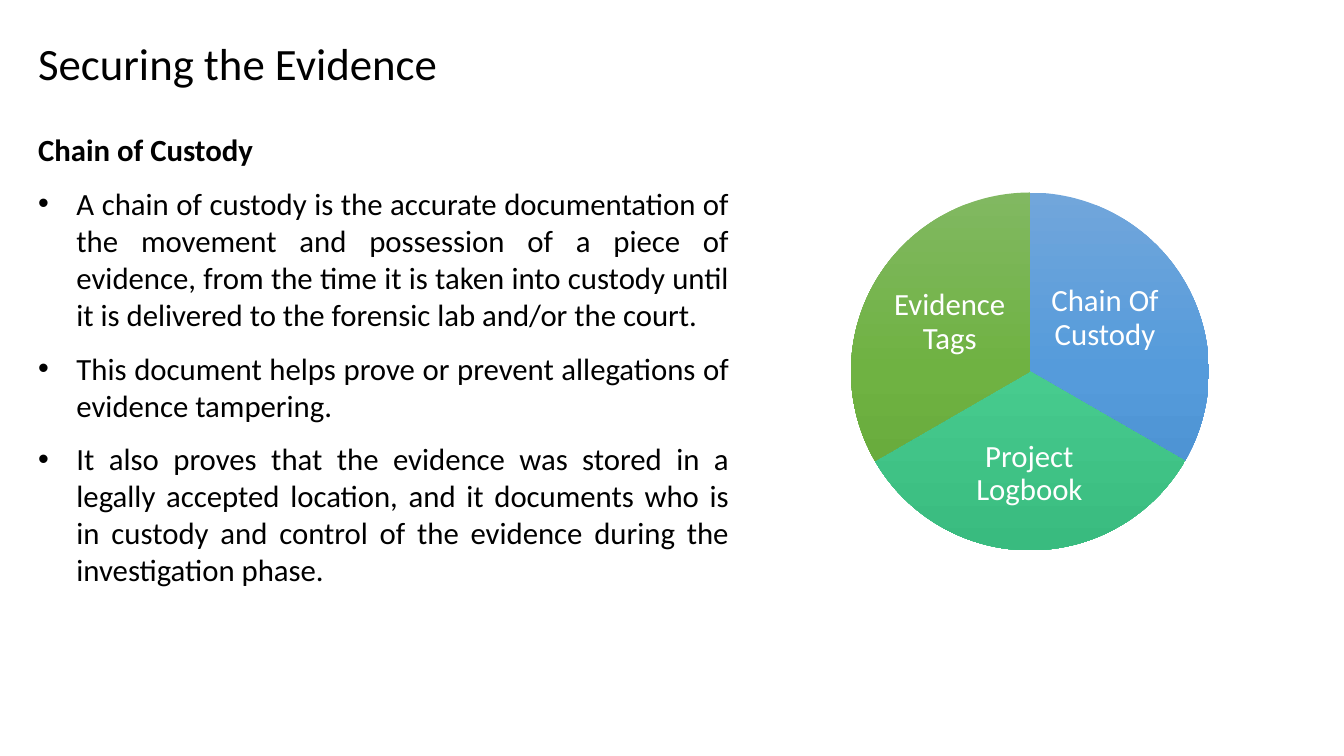
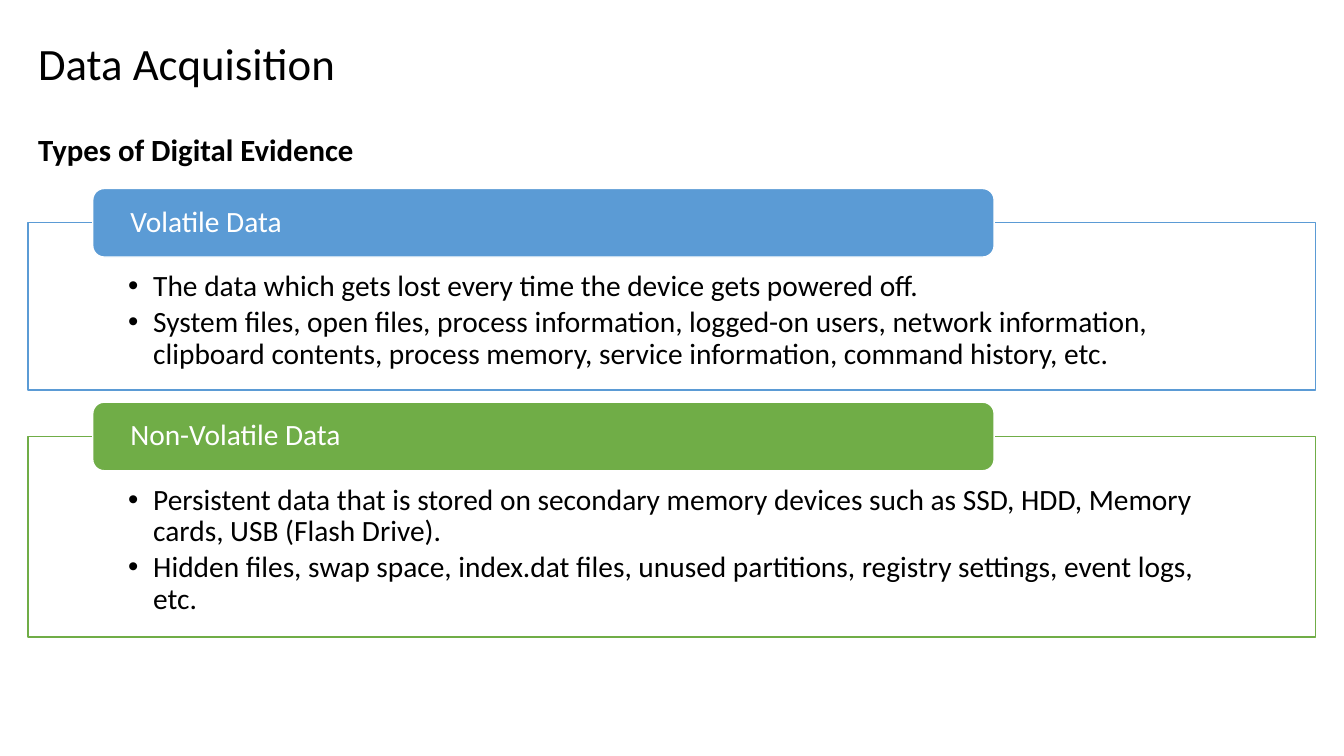
from copy import deepcopy

from lxml.etree import SubElement
from pptx import Presentation
from pptx.dml.color import RGBColor
from pptx.enum.shapes import MSO_SHAPE
from pptx.enum.text import MSO_ANCHOR, PP_ALIGN
from pptx.oxml.ns import qn
from pptx.util import Inches, Pt

FONT = "Calibri"
BLACK = RGBColor(0x00, 0x00, 0x00)
WHITE = RGBColor(0xFF, 0xFF, 0xFF)
BLUE = RGBColor(0x5B, 0x9B, 0xD5)
GREEN = RGBColor(0x70, 0xAD, 0x47)
BLUE_FADE = (RGBColor(0x71, 0xA6, 0xDB), RGBColor(0x55, 0x9B, 0xDB), RGBColor(0x44, 0x8A, 0xCA))
TEAL_FADE = (RGBColor(0x67, 0xCC, 0x9A), RGBColor(0x47, 0xCB, 0x8E), RGBColor(0x39, 0xBB, 0x7F))
GREEN_FADE = (RGBColor(0x81, 0xB8, 0x61), RGBColor(0x6F, 0xB2, 0x42), RGBColor(0x62, 0xA3, 0x36))

LEFT, CONTENT_WIDTH = 0.28, 12.77
TITLE_HEIGHT, BODY_HEIGHT = 1.25, 5.35


def set_frame(shape, insets=(0.1, 0.05, 0.1, 0.05), anchor=MSO_ANCHOR.MIDDLE):
    """Set wrapping, insets (left, top, right, bottom) and anchor; return the text frame."""
    frame = shape.text_frame
    frame.word_wrap = True
    frame.vertical_anchor = anchor
    frame.margin_left, frame.margin_top, frame.margin_right, frame.margin_bottom = map(Inches, insets)
    return frame


def write(frame, texts, size, color=BLACK, bold=False, align=PP_ALIGN.LEFT,
          spacing=1.0, after=0, indent=0):
    """Append paragraphs to a text frame, bulleted when an indent in inches is given."""
    for text in texts:
        first = frame.paragraphs[0]
        paragraph = frame.add_paragraph() if first.runs else first
        paragraph.alignment = align
        paragraph.line_spacing = spacing
        paragraph.space_after = Pt(after)
        if indent:
            properties = paragraph._p.get_or_add_pPr()
            properties.set("marL", str(Inches(indent)))
            properties.set("indent", str(-Inches(indent)))
            SubElement(properties, qn("a:buFont")).set("typeface", "Arial")
            SubElement(properties, qn("a:buChar")).set("char", "•")
        run = paragraph.add_run()
        run.text = text
        run.font.name = FONT
        run.font.size = Pt(size)
        run.font.bold = bold
        run.font.color.rgb = color


presentation = Presentation()
presentation.slide_width = Inches(13.33)
presentation.slide_height = Inches(7.5)

# Title, heading and body text of both slides
pages = [
    ("Securing the Evidence", "Chain of Custody", 7.05, [
        "A chain of custody is the accurate documentation of the movement and possession of a piece "
        "of evidence, from the time it is taken into custody until it is delivered to the forensic "
        "lab and/or the court.",
        "This document helps prove or prevent allegations of evidence tampering.",
        "It also proves that the evidence was stored in a legally accepted location, and it documents "
        "who is in custody and control of the evidence during the investigation phase.",
    ]),
    ("Data Acquisition", "Types of Digital Evidence", CONTENT_WIDTH, []),
]
for title, heading, body_width, points in pages:
    slide = presentation.slides.add_slide(presentation.slide_layouts[6])
    title_box = slide.shapes.add_textbox(
        Inches(LEFT), Inches(0), Inches(CONTENT_WIDTH), Inches(TITLE_HEIGHT))
    write(set_frame(title_box), [title], 32)
    body = slide.shapes.add_textbox(
        Inches(LEFT), Inches(TITLE_HEIGHT), Inches(body_width), Inches(BODY_HEIGHT))
    frame = set_frame(body, anchor=MSO_ANCHOR.TOP)
    write(frame, [heading], 22, bold=True, align=PP_ALIGN.JUSTIFY, after=12)
    write(frame, points, 22, align=PP_ALIGN.JUSTIFY, after=12, indent=0.38)

custody_slide, acquisition_slide = presentation.slides

# Pie of three equal slices, clockwise from the top
ANGLE_UNIT = 0.6  # adjustment value of one degree
slices = [
    ("Chain Of Custody", BLUE_FADE, (10.36, 2.57, 1.2, 1.18)),
    ("Project Logbook", TEAL_FADE, (9.41, 4.15, 1.6, 1.1)),
    ("Evidence Tags", GREEN_FADE, (8.82, 2.61, 1.2, 1.18)),
]
for index, (label, fade, label_place) in enumerate(slices):
    start = (270 + 120 * index) % 360
    pie = custody_slide.shapes.add_shape(
        MSO_SHAPE.PIE, Inches(8.44), Inches(1.91), Inches(3.55), Inches(3.55))
    pie.shadow.inherit = False
    pie.adjustments[0] = start * ANGLE_UNIT
    pie.adjustments[1] = (start + 120) % 360 * ANGLE_UNIT
    pie.line.fill.background()
    pie.fill.gradient()
    pie.fill.gradient_angle = 270
    stop_list = pie._element.spPr.find(qn("a:gradFill")).find(qn("a:gsLst"))
    stop_list.append(deepcopy(stop_list[0]))
    for stop, position, color in zip(pie.fill.gradient_stops, (0, 0.5, 1), fade):
        stop.position = position
        stop.color.rgb = color
    label_box = custody_slide.shapes.add_textbox(*map(Inches, label_place))
    write(set_frame(label_box, (0.03,) * 4), [label], 22, WHITE,
          align=PP_ALIGN.CENTER, spacing=0.9)

# Framed lists, each with a header tab over its top edge
sections = [
    ("Volatile Data", BLUE, 2.21, 1.66, [
        "The data which gets lost every time the device gets powered off.",
        "System files, open files, process information, logged-on users, network information, "
        "clipboard contents, process memory, service information, command history, etc.",
    ]),
    ("Non-Volatile Data", GREEN, 4.33, 1.99, [
        "Persistent data that is stored on secondary memory devices such as SSD, HDD, Memory cards, "
        "USB (Flash Drive).",
        "Hidden files, swap space, index.dat files, unused partitions, registry settings, "
        "event logs, etc.",
    ]),
]
TAB_HEIGHT = 0.68
for name, color, top, height, points in sections:
    panel = acquisition_slide.shapes.add_shape(
        MSO_SHAPE.RECTANGLE, Inches(LEFT), Inches(top), Inches(CONTENT_WIDTH), Inches(height))
    tab = acquisition_slide.shapes.add_shape(
        MSO_SHAPE.ROUNDED_RECTANGLE, Inches(0.92), Inches(top - TAB_HEIGHT / 2),
        Inches(8.94), Inches(TAB_HEIGHT))
    for shape, fill, line in ((panel, WHITE, color), (tab, color, WHITE)):
        shape.shadow.inherit = False
        shape.fill.solid()
        shape.fill.fore_color.rgb = fill
        shape.line.color.rgb = line
        shape.line.width = Pt(1)
    write(set_frame(panel, (0.99, 0.48, 0.99, 0.16), MSO_ANCHOR.TOP), points, 21,
          spacing=0.9, after=3, indent=0.25)
    write(set_frame(tab, (0.34, 0, 0.34, 0)), [name], 21, WHITE, spacing=0.9)

presentation.save("out.pptx")
